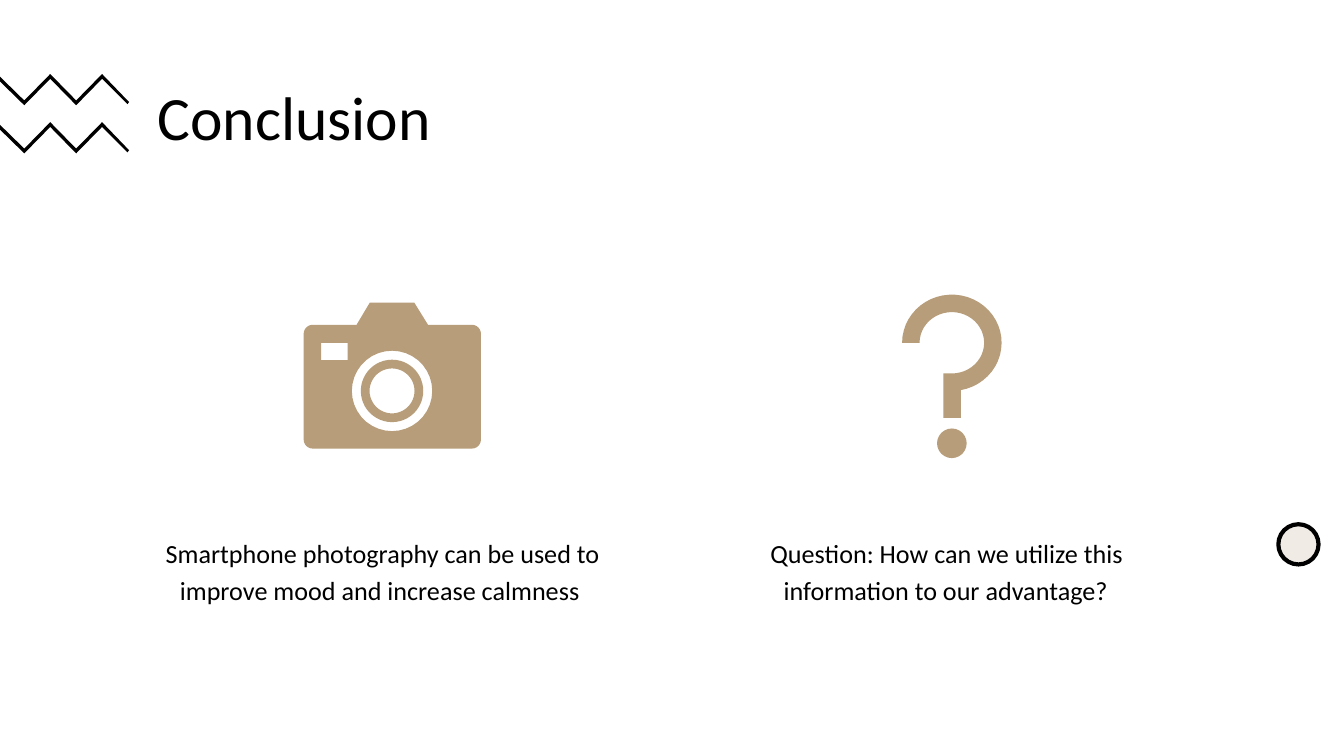
from dataclasses import dataclass
from math import cos, radians, sin

from lxml.etree import SubElement
from pptx import Presentation
from pptx.dml.color import RGBColor
from pptx.enum.shapes import MSO_SHAPE
from pptx.oxml.ns import qn
from pptx.util import Cm, Pt

BLACK = RGBColor(0x00, 0x00, 0x00)
TAN = RGBColor(0xB7, 0x9D, 0x79)
UNITS_PER_CM = 1000

Point = tuple[float, float]


@dataclass
class Line:
    text: str
    indent: float


@dataclass
class TextBlock:
    left: float
    top: float
    width: float
    height: float
    size: float
    spacing: float
    lines: list[Line]


TEXT_BLOCKS = [
    TextBlock(2.95, 1.47, 5.54, 1.45, 33, 1, [Line("Conclusion", 0.03)]),
    TextBlock(3.1, 10.03, 8.66, 1.22, 14, 1.17, [
        Line("Smartphone photography can be used to", 0.03),
        Line("improve mood and increase calmness", 0.3),
    ]),
    TextBlock(14.53, 10.03, 6.96, 1.22, 14, 1.17, [
        Line("Question: How can we utilize this", 0.03),
        Line("information to our advantage?", 0.28),
    ]),
]


def arc(center: Point, radius_x: float, radius_y: float,
        start: float, end: float, steps: int = 36) -> list[Point]:
    """Points along an elliptical arc; angles run clockwise from the right."""
    angles = [radians(start + (end - start) * i / steps) for i in range(steps + 1)]
    return [(center[0] + radius_x * cos(a), center[1] + radius_y * sin(a)) for a in angles]


def add_outline(page, color: RGBColor, *contours: list[Point]):
    """Filled shape; contours after the first cut holes."""
    scaled = [[(x * UNITS_PER_CM, y * UNITS_PER_CM) for x, y in c] for c in contours]
    builder = page.shapes.build_freeform(*scaled[0][0], scale=Cm(1) / UNITS_PER_CM)
    for number, contour in enumerate(scaled):
        if number:
            builder.move_to(*contour[0])
        builder.add_line_segments(contour[1:], close=True)
    shape = builder.convert_to_shape()
    paint(shape, color)


def paint(shape, color: RGBColor) -> None:
    shape.shadow.inherit = False
    shape.fill.solid()
    shape.fill.fore_color.rgb = color
    shape.line.fill.background()


def add_round(page, kind: MSO_SHAPE, center: Point, radius: float):
    shape = page.shapes.add_shape(kind, Cm(center[0] - radius), Cm(center[1] - radius),
                                  Cm(2 * radius), Cm(2 * radius))
    paint(shape, TAN)
    return shape


def add_text(page, block: TextBlock) -> None:
    box = page.shapes.add_textbox(Cm(block.left), Cm(block.top),
                                  Cm(block.width), Cm(block.height))
    frame = box.text_frame
    frame.word_wrap = True
    frame.margin_left = frame.margin_right = frame.margin_bottom = 0
    frame.margin_top = Cm(0.03)
    for number, line in enumerate(block.lines):
        para = frame.add_paragraph() if number else frame.paragraphs[0]
        para.text = line.text
        para.line_spacing = block.spacing
        para._p.get_or_add_pPr().set("marL", str(Cm(line.indent)))
        para.font.name = "Calibri"
        para.font.size = Pt(block.size)
        para.font.color.rgb = BLACK


def add_zigzag(page, top: float) -> None:
    thickness = 0.09
    upper = [(0, top + 0.05), (0.46, top + 0.5), (0.95, top), (1.44, top + 0.5), (1.93, top)]
    lower = [(x, y + thickness) for x, y in reversed(upper)]
    tip = [(2.44, top + 0.53), (2.41, top + 0.57)]
    add_outline(page, BLACK, upper + tip + lower)


def add_camera(page) -> None:
    left, right, top, bottom, corner = 5.74, 9.09, 6.14, 8.48, 0.17
    lens = (7.41, 7.39)

    def rounded(x: float, y: float, start: float) -> list[Point]:
        return arc((x, y), corner, corner, start, start + 90, 6)

    body = (rounded(left + corner, top + corner, 180)
            + [(6.74, top), (6.99, 5.72), (7.83, 5.72), (8.09, top)]
            + rounded(right - corner, top + corner, 270)
            + rounded(right - corner, bottom - corner, 0)
            + rounded(left + corner, bottom - corner, 90))
    window = [(6.07, 6.48), (6.57, 6.48), (6.57, 6.81), (6.07, 6.81)]
    add_outline(page, TAN, body, window, arc(lens, 0.76, 0.76, 0, 360))
    ring = add_round(page, MSO_SHAPE.DONUT, lens, 0.59)
    ring.adjustments[0] = 0.14


def add_question_mark(page) -> None:
    center = (17.99, 6.48)
    outer = arc(center, 0.94, 0.91, 180, 440)
    inner = arc(center, 0.61, 0.58, 450, 180)
    stem = [(18.16, 7.38), (18.16, 7.9), (17.83, 7.9), (17.83, 7.06)]
    add_outline(page, TAN, outer + stem + inner)
    add_round(page, MSO_SHAPE.OVAL, (17.99, 8.38), 0.28)


def add_edge_circle(page) -> None:
    circle = add_round(page, MSO_SHAPE.OVAL, (24.54, 10.29), 0.38)
    circle.line.color.rgb = BLACK
    circle.line.width = Pt(2.25)
    # 20 % opacity on the fill
    color = circle._element.spPr.find(qn("a:solidFill")).find(qn("a:srgbClr"))
    SubElement(color, qn("a:alpha")).set("val", "20000")


def main() -> None:
    deck = Presentation()
    deck.slide_width, deck.slide_height = Cm(25.4), Cm(14.29)
    page = deck.slides.add_slide(deck.slide_layouts[6])

    # Decoration
    for top in (1.4, 2.31):
        add_zigzag(page, top)
    add_edge_circle(page)

    # Icons
    add_camera(page)
    add_question_mark(page)

    # Title and captions
    for block in TEXT_BLOCKS:
        add_text(page, block)

    deck.save("out.pptx")


if __name__ == "__main__":
    main()
